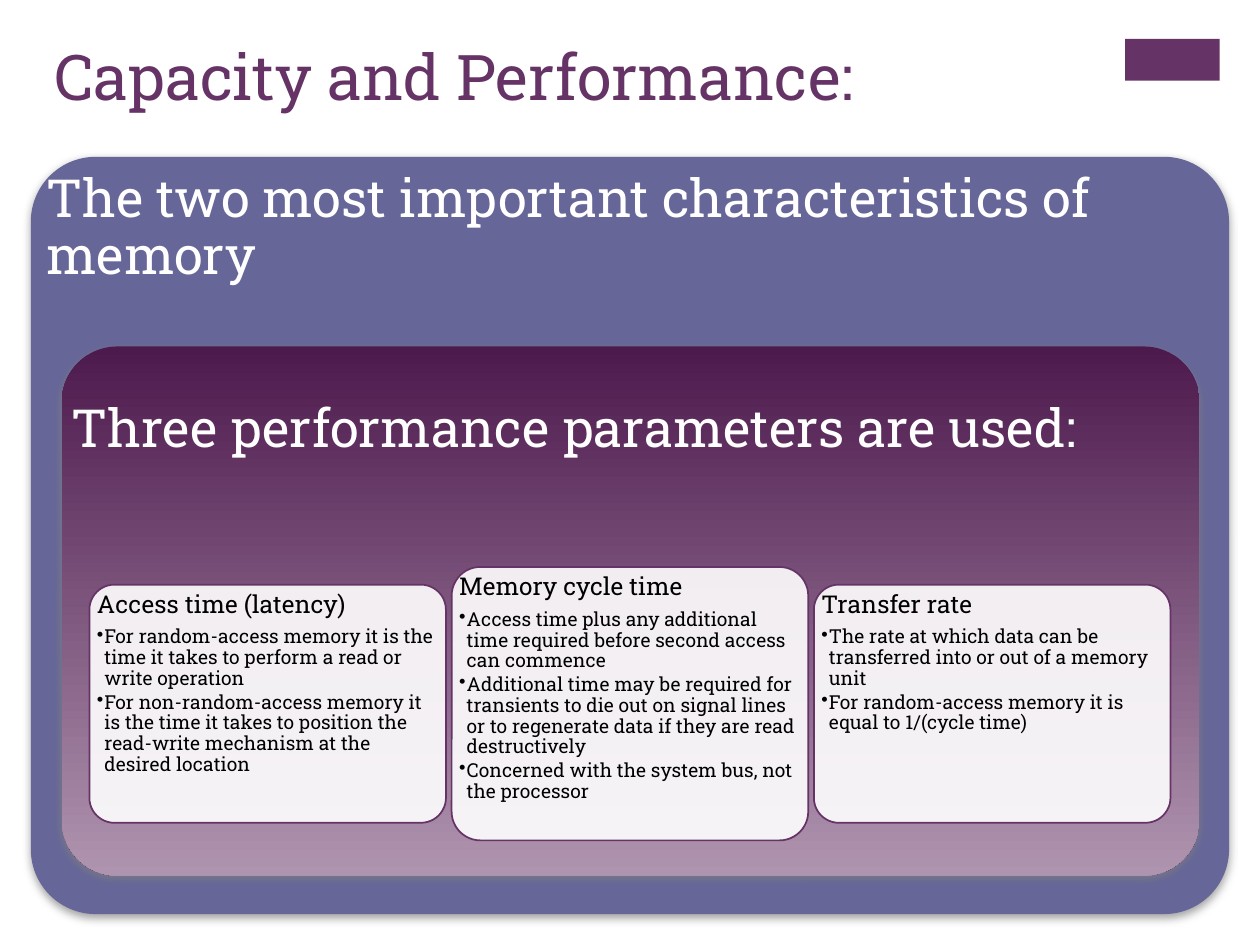
from dataclasses import dataclass

from lxml.etree import SubElement
from pptx import Presentation
from pptx.dml.color import RGBColor
from pptx.enum.shapes import MSO_SHAPE
from pptx.enum.text import MSO_ANCHOR, MSO_AUTO_SIZE, PP_ALIGN
from pptx.oxml.ns import qn
from pptx.util import Emu, Inches, Pt

FONT = "Roboto Slab"
PLUM, SLATE, WHITE, BLACK = "663366", "666699", "FFFFFF", "000000"
COLUMNS, ROWS = 1000, 750
CARD_LEFT, CARD_PITCH, CARD_WIDTH, CARD_MIDDLE = 71, 287.5, 283, 558.5


@dataclass(frozen=True)
class Area:
    column: float
    row: float
    columns: float
    rows: float


@dataclass(frozen=True)
class Panel:
    area: Area
    rounding: float
    fills: tuple[str, ...]
    heading: str
    inset: float
    top_inset: float
    outline: str | None = None


@dataclass(frozen=True)
class Card:
    heading: str
    rows: float
    points: tuple[str, ...]


PANELS = (
    Panel(Area(25, 125, 950, 600), 0.085, (SLATE,),
          "The two most important characteristics of memory", 0.12, 0.12, SLATE),
    Panel(Area(49, 275, 903, 420), 0.105, ("4D1A4D", "AF94AF"),
          "Three performance parameters are used:", 0.08, 0.51),
)
CARDS = (
    Card("Access time (latency)", 189, (
        "For random-access memory it is the time it takes to perform a read or write operation",
        "For non-random-access memory it is the time it takes to position the read-write "
        "mechanism at the desired location",
    )),
    Card("Memory cycle time", 217, (
        "Access time plus any additional time required before second access can commence",
        "Additional time may be required for transients to die out on signal lines or to "
        "regenerate data if they are read destructively",
        "Concerned with the system bus, not the processor",
    )),
    Card("Transfer rate", 189, (
        "The rate at which data can be transferred into or out of a memory unit",
        "For random-access memory it is equal to 1/(cycle time)",
    )),
)

deck = Presentation()
deck.slide_width, deck.slide_height = Inches(10), Inches(7.5)
slide = deck.slides.add_slide(deck.slide_layouts[5])


def rgb(color: str) -> RGBColor:
    return RGBColor.from_string(color)


def bounds(area: Area) -> tuple[Emu, Emu, Emu, Emu]:
    column, row = deck.slide_width / COLUMNS, deck.slide_height / ROWS
    return (Emu(round(area.column * column)), Emu(round(area.row * row)),
            Emu(round(area.columns * column)), Emu(round(area.rows * row)))


def add_block(area: Area, fills: tuple[str, ...], rounding: float = 0,
              outline: str | None = None, weight: float = 1):
    preset = MSO_SHAPE.ROUNDED_RECTANGLE if rounding else MSO_SHAPE.RECTANGLE
    block = slide.shapes.add_shape(preset, *bounds(area))
    block.shadow.inherit = False
    if rounding:
        block.adjustments[0] = rounding
    if len(fills) > 1:
        block.fill.gradient()
        block.fill.gradient_angle = 270
        for stop, color in zip(block.fill.gradient_stops, fills):
            stop.color.rgb = rgb(color)
    else:
        block.fill.solid()
        block.fill.fore_color.rgb = rgb(fills[0])
    if outline:
        block.line.color.rgb = rgb(outline)
        block.line.width = Pt(weight)
    else:
        block.line.fill.background()
    return block


def add_shadow(block) -> None:
    effects = block._element.spPr.find(qn("a:effectLst"))
    shadow = SubElement(effects, qn("a:outerShdw"), blurRad=str(Pt(5)), dist=str(Pt(2)),
                        dir="5400000", algn="ctr", rotWithShape="0")
    color = SubElement(shadow, qn("a:srgbClr"), val="808080")
    SubElement(color, qn("a:alpha"), val="75000")


def make_translucent(block, percent: int) -> None:
    color = block._element.spPr.find(qn("a:solidFill")).find(qn("a:srgbClr"))
    SubElement(color, qn("a:alpha"), val=str(percent * 1000))


def add_frame(area: Area, inset: float, top_inset: float):
    frame = slide.shapes.add_textbox(*bounds(area)).text_frame
    frame.word_wrap = True
    frame.vertical_anchor = MSO_ANCHOR.TOP
    frame.margin_left = frame.margin_right = frame.margin_bottom = Inches(inset)
    frame.margin_top = Inches(top_inset)
    return frame


def write(paragraph, words: str, size: float, color: str) -> None:
    run = paragraph.add_run()
    run.text = words
    run.font.name, run.font.size = FONT, Pt(size)
    run.font.color.rgb = rgb(color)


def set_spacing(paragraph, after: float) -> None:
    paragraph.line_spacing = 0.9
    paragraph.space_after = Pt(after)


def add_bullet(paragraph) -> None:
    properties = paragraph._p.get_or_add_pPr()
    indent = Inches(0.06)
    properties.set("marL", str(indent))
    properties.set("indent", str(-indent))
    SubElement(properties, qn("a:buChar"), char="•")


def draw_title(words: str) -> None:
    title = slide.shapes.title
    title.left, title.top, title.width, title.height = bounds(Area(33, 25, 826, 122))
    frame = title.text_frame
    frame.auto_size = MSO_AUTO_SIZE.NONE
    frame.vertical_anchor = MSO_ANCHOR.TOP
    frame.paragraphs[0].alignment = PP_ALIGN.LEFT
    write(frame.paragraphs[0], words, 36, PLUM)


def draw_panel(panel: Panel) -> None:
    add_shadow(add_block(panel.area, panel.fills, panel.rounding, panel.outline, 0.75))
    heading = add_frame(panel.area, panel.inset, panel.top_inset).paragraphs[0]
    set_spacing(heading, 0)
    write(heading, panel.heading, 30, WHITE)


def draw_card(index: int, card: Card) -> None:
    area = Area(CARD_LEFT + index * CARD_PITCH, CARD_MIDDLE - card.rows / 2,
                CARD_WIDTH, card.rows)
    make_translucent(add_block(area, (WHITE,), 0.105, PLUM), 90)
    frame = add_frame(area, 0.06, 0.06)
    heading = frame.paragraphs[0]
    set_spacing(heading, 4.9)
    write(heading, card.heading, 14, BLACK)
    for words in card.points:
        point = frame.add_paragraph()
        point.level = 1
        set_spacing(point, 1.65)
        add_bullet(point)
        write(point, words, 11, BLACK)


def main() -> None:
    add_block(Area(893, 31, 75, 33), (PLUM,))
    draw_title("Capacity and Performance:")
    for panel in PANELS:
        draw_panel(panel)
    for index, card in enumerate(CARDS):
        draw_card(index, card)
    deck.save("out.pptx")


if __name__ == "__main__":
    main()
